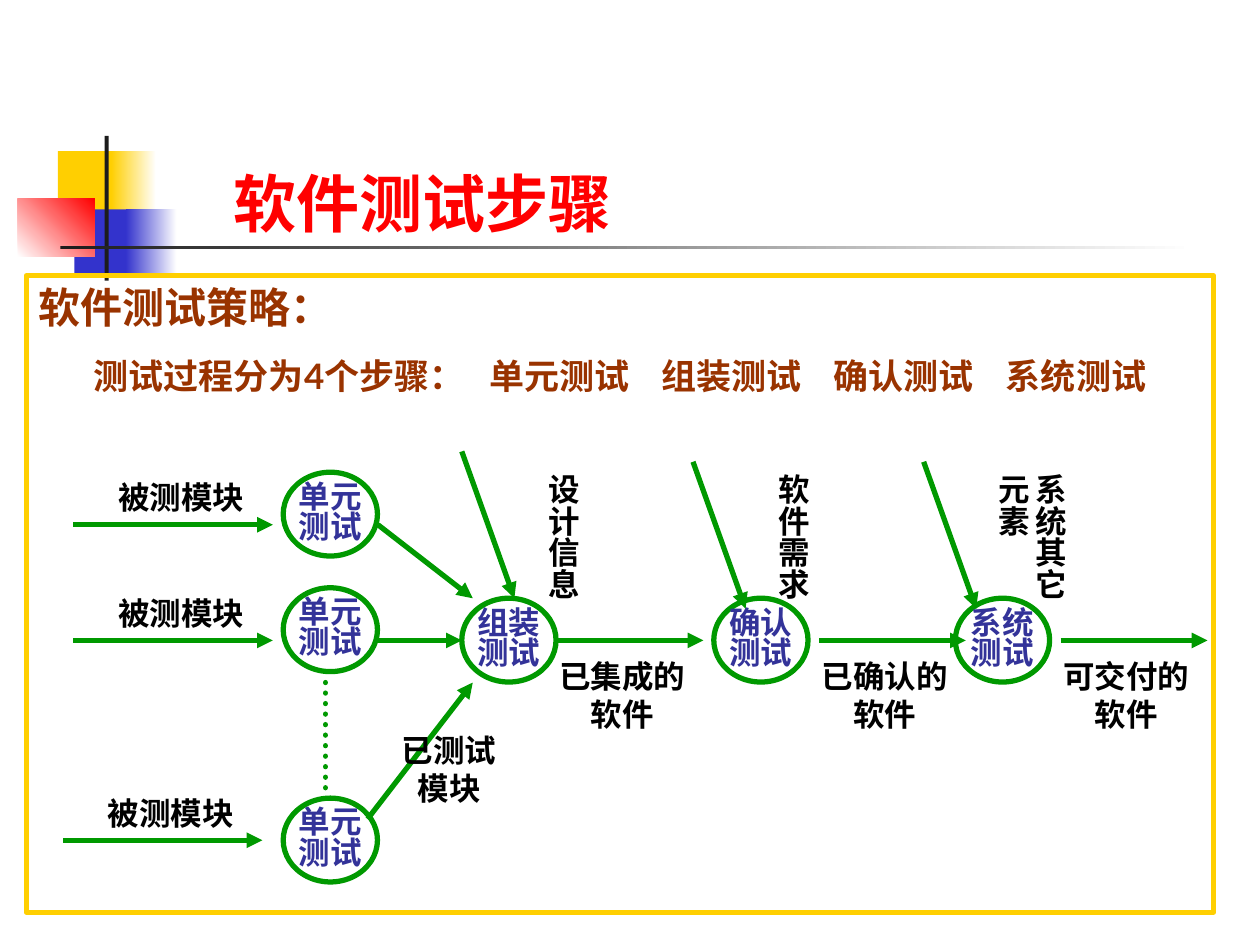
from dataclasses import dataclass

from lxml import etree
from pptx import Presentation
from pptx.dml.color import RGBColor
from pptx.enum.dml import MSO_LINE
from pptx.enum.lang import MSO_LANGUAGE_ID
from pptx.enum.shapes import MSO_CONNECTOR, MSO_SHAPE
from pptx.enum.text import MSO_ANCHOR, MSO_AUTO_SIZE, PP_ALIGN
from pptx.oxml.ns import qn
from pptx.util import Cm, Pt

RECT, OVAL = MSO_SHAPE.RECTANGLE, MSO_SHAPE.OVAL
STRAIGHT, DOTS = MSO_CONNECTOR.STRAIGHT, MSO_LINE.ROUND_DOT
LEFT, MID = PP_ALIGN.LEFT, PP_ALIGN.CENTER
TOP, CENTER = MSO_ANCHOR.TOP, MSO_ANCHOR.MIDDLE
FIXED = MSO_AUTO_SIZE.NONE
CHINESE = MSO_LANGUAGE_ID.SIMPLIFIED_CHINESE


@dataclass(frozen=True)
class Theme:
    font: str = "Lato"
    title: int = 36
    head: int = 24
    body: int = 20
    label: int = 18
    line: int = 3
    red: str = "FF0000"
    gold: str = "FFCF01"
    blue: str = "3333CC"
    dark: str = "1C1C1C"
    white: str = "FFFFFF"
    brown: str = "993300"
    navy: str = "333399"
    green: str = "009900"
    black: str = "000000"


@dataclass(frozen=True)
class Box:
    """An area in centimetres."""
    x: float
    y: float
    w: float
    h: float

    def inner(self, x, y, w, h):
        return Box(self.x + x, self.y + y, w, h)

    def size(self):
        return Cm(self.x), Cm(self.y), Cm(self.w), Cm(self.h)


THEME = Theme()


def rgb(code):
    return RGBColor.from_string(code)


def style(para, size, color, align=LEFT):
    para.alignment = align
    for run in para.runs:
        font = run.font
        font.name, font.size, font.bold = THEME.font, Pt(size), True
        font.color.rgb = rgb(color)
        font.language_id = CHINESE


def shape(slide, kind, box, line=None):
    item = slide.shapes.add_shape(kind, *box.size())
    item.shadow.inherit = False
    item.fill.background()
    if line:
        item.line.color.rgb = rgb(line)
        item.line.width = Pt(THEME.line)
    else:
        item.line.fill.background()
    return item


def link(slide, box, start, end, arrow=True):
    x1, y1, x2, y2 = (Cm(v) for v in (box.x + start[0], box.y + start[1],
                                      box.x + end[0], box.y + end[1]))
    item = slide.shapes.add_connector(STRAIGHT, x1, y1, x2, y2)
    item.line.color.rgb = rgb(THEME.green)
    item.line.width = Pt(THEME.line)
    ln = item._element.spPr.find(qn("a:ln"))
    if arrow:
        etree.SubElement(ln, qn("a:tailEnd"), type="triangle")
    else:
        item.line.dash_style = DOTS
        ln.set("cap", "rnd")
    etree.SubElement(item._element.spPr, qn("a:effectLst"))


def label(slide, box, text, align=LEFT, upright=False):
    item = slide.shapes.add_textbox(*box.size())
    frame = item.text_frame
    frame.text = text
    frame.word_wrap = False
    if upright:
        item._element.txBody.find(qn("a:bodyPr")).set("vert", "eaVert")
        frame.margin_left = frame.margin_right = Cm(0.13)
        frame.margin_top = frame.margin_bottom = Cm(0.25)
    for para in frame.paragraphs:
        style(para, THEME.label, THEME.black, align)


def circle(slide, box, name):
    frame = shape(slide, OVAL, box, THEME.green).text_frame
    frame.text = name + "\n测试"
    frame.word_wrap = False
    frame.vertical_anchor = CENTER
    for para in frame.paragraphs:
        para.line_spacing = 0.8
        style(para, THEME.label, THEME.navy, MID)


def badge(slide, box):
    """Coloured blocks with crossing bars."""
    t = THEME
    blocks = (
        ((0.81, 0.31, 1.22, 1.32), (t.gold,), 0),
        ((1.88, 0.31, 0.91, 1.32), (t.gold, t.white), 0),
        ((1.14, 1.48, 1.17, 1.32), (t.blue,), 0),
        ((2.18, 1.48, 1.02, 1.32), (t.blue, t.white), 0),
        ((0, 1.27, 1.55, 1.17), (t.white, t.red), 45),
        ((1.75, 0, 0.08, 2.92), (t.dark,), 0),
        ((0.86, 2.21, 22.86, 0.08), (t.dark, t.white), 0),
    )
    for place, colors, angle in blocks:
        fill = shape(slide, RECT, box.inner(*place)).fill
        if len(colors) == 1:
            fill.solid()
            fill.fore_color.rgb = rgb(colors[0])
            continue
        fill.gradient()
        fill.gradient_angle = angle
        for stop, color in zip(fill.gradient_stops, colors):
            stop.color.rgb = rgb(color)


def heading(slide, box):
    title = slide.shapes.title
    title.left, title.top, title.width, title.height = box.size()
    frame = title.text_frame
    frame.text = "软件测试步骤"
    frame.auto_size = FIXED
    frame.vertical_anchor = TOP
    style(frame.paragraphs[0], THEME.title, THEME.red)


def panel(slide, box):
    """Framed area with the strategy text."""
    frame = shape(slide, RECT, box, THEME.gold).text_frame
    frame.vertical_anchor = TOP
    frame.word_wrap = True
    steps = ("测试过程分为4个步骤：", "单元测试", "组装测试", "确认测试", "系统测试")
    frame.text = "软件测试策略：\n\t" + "\t".join(steps)
    head, body = frame.paragraphs
    tabs = etree.SubElement(body._p.get_or_add_pPr(), qn("a:tabLst"))
    for stop in [1.11] + [9.09 + 3.47 * i for i in range(4)]:
        etree.SubElement(tabs, qn("a:tab"), pos=str(int(Cm(stop))), algn="l")
    body.line_spacing, body.space_before = 1.15, Pt(8.8)
    style(head, THEME.head, THEME.brown)
    style(body, THEME.body, THEME.brown)


def flow(slide, box):
    """Test flow from modules to the delivered software."""
    wide, high, mid = 1.9, 1.69, 7.35

    # Unit tests and their inputs
    for top, shift in ((3.96, 0), (6.29, 0), (10.53, -0.21)):
        y = top + shift
        circle(slide, box.inner(5.18, top, wide, high), "单元")
        link(slide, box, (0.95 + shift, y + 1.06), (4.97 + shift, y + 1.06))
        label(slide, box.inner(1.6 + shift, y, 3.05, 1.02), "被测模块")

    # From unit tests to assembly
    link(slide, box, (6.03, 8.2), (6.03, 10.53), arrow=False)
    for start, end in (((7.09, 5.02), (9, 6.5)), ((7.09, mid), (8.78, mid)),
                       ((6.88, 10.95), (9, 8.2))):
        link(slide, box, start, end)
    label(slide, box.inner(7.32, 9.05, 2.41, 1.78), "已测试\n模块", MID)

    # Later stages: left, name, feed start, feed label, output start, result
    stages = (
        (8.78, "组装", (8.78, 3.54), (10.06, 1.27), "设计信息", 10.69, "已集成的"),
        (13.86, "确认", (13.44, 3.75), (14.71, 1.27), "软件需求", 15.98, "已确认的"),
        (18.73, "系统", (18.09, 3.75), (19.13, 2.03), "系统其它\n元素", 20.85, "可交付的"),
    )
    for left, name, (x, y), (side, width), feed, out, result in stages:
        circle(slide, box.inner(left, 6.5, wide, high), name)
        link(slide, box, (x, y), (x + 1.06, y + 2.96))
        label(slide, box.inner(side, 3.75, width, 2.79), feed, upright=True)
        link(slide, box, (out, mid), (out + 2.96, mid))
        label(slide, box.inner(out - 0.2, 7.57, 3.05, 1.78), result + "\n软件", MID)


def main():
    deck = Presentation()
    deck.slide_width, deck.slide_height = Cm(25.4), Cm(19.05)
    slide = deck.slides.add_slide(deck.slide_layouts[5])
    area = Box(0.53, 5.56, 23.93, 12.83)
    badge(slide, Box(0.36, 2.74, 23.72, 2.92))
    heading(slide, Box(4.45, 3.18, 12.7, 1.78))
    panel(slide, area)
    flow(slide, area)
    deck.save("out.pptx")


if __name__ == "__main__":
    main()
